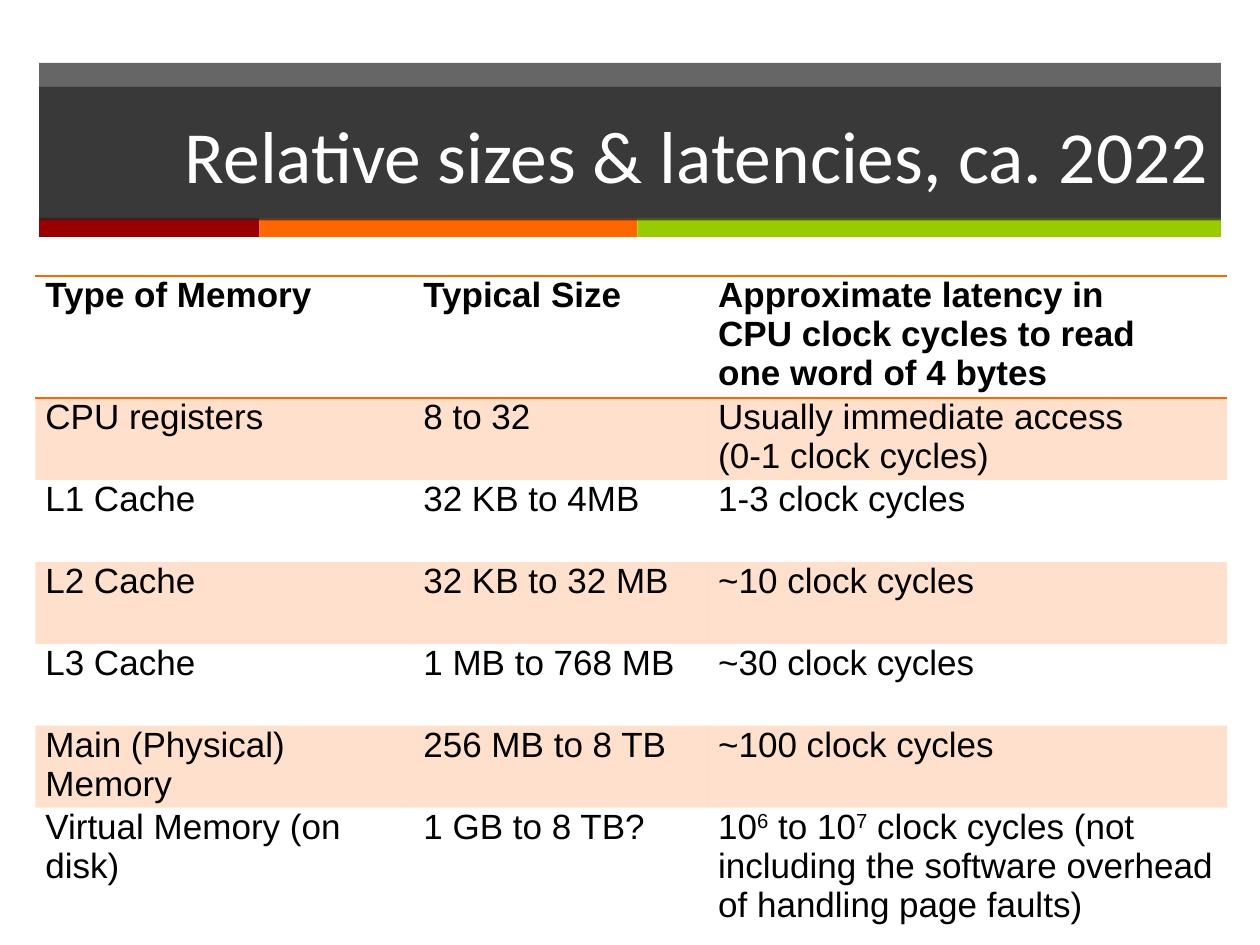
"""Build a slide with a table of memory types, their sizes and read latencies."""
import pptx
import pptx.dml.color
import pptx.enum.shapes
import pptx.enum.text
import pptx.oxml
import pptx.oxml.ns
import pptx.util

TITLE = "Relative sizes & latencies, ca. 2022"
ROWS = [
    ("Type of Memory", "Typical Size",
     "Approximate latency in\nCPU clock cycles to read\none word of 4 bytes"),
    ("CPU registers", "8 to 32", "Usually immediate access\n(0-1 clock cycles)"),
    ("L1 Cache", "32 KB to 4MB", "1-3 clock cycles"),
    ("L2 Cache", "32 KB to 32 MB", "~10 clock cycles"),
    ("L3 Cache", "1 MB to 768 MB", "~30 clock cycles"),
    ("Main (Physical) Memory", "256 MB to 8 TB", "~100 clock cycles"),
    ("Virtual Memory (on disk)", "1 GB to 8 TB?",
     "10^6^ to 10^7^ clock cycles (not including the software overhead "
     "of handling page faults)"),
]
THEME = {
    "band": "262626", "band_alpha": 70,
    "accent": "FF6600", "tint_alpha": 20, "rule_points": 1,
    "stripes": [("990000", 1.75), ("FF6600", 3), ("99CC00", 4.63)],
    "title": {"name": "Calibri", "size": pptx.util.Pt(42), "color": "FFFFFF"},
    "cell": {"name": "Arial", "size": pptx.util.Pt(20), "color": "000000"},
}
BAND_LEFT, BAND_WIDTH = 0.31, 9.38
STRIPE_TOP, STRIPE_HEIGHT = 1.73, 0.15
TABLE_LEFT, TABLE_TOP = 0.28, 2.19
COLUMN_WIDTHS = [3, 2.34, 4.12]
ROW_HEIGHTS = [0.97] + [0.65] * 5 + [1.52]
PLAIN_TABLE_STYLE = "{2D5ABB26-0587-4C30-8999-92F81FD0307C}"


def inches(*lengths):
    return [pptx.util.Inches(length) for length in lengths]


def paint(fill, color, alpha=100):
    fill.solid()
    fill.fore_color.rgb = pptx.dml.color.RGBColor.from_string(color)
    if alpha < 100:
        element = fill._xPr.find(".//" + pptx.oxml.ns.qn("a:srgbClr"))
        element.append(pptx.oxml.parse_xml(
            f'<a:alpha {pptx.oxml.ns.nsdecls("a")} val="{alpha * 1000}"/>'))


def format_font(font, style, **extra):
    for name, value in {**style, **extra}.items():
        if name == "color":
            font.color.rgb = pptx.dml.color.RGBColor.from_string(value)
        else:
            setattr(font, name, value)


def add_band(slide, left, top, width, height, color, alpha=100):
    shape = slide.shapes.add_shape(
        pptx.enum.shapes.MSO_SHAPE.RECTANGLE, *inches(left, top, width, height))
    shape.shadow.inherit = False
    shape.line.fill.background()
    paint(shape.fill, color, alpha)


def place_title(slide):
    title = slide.shapes.title
    slide.shapes._spTree.append(title._element)
    title.left, title.top, title.width, title.height = inches(
        BAND_LEFT, 0.69, BAND_WIDTH, 1.06)
    paint(title.fill, THEME["band"], THEME["band_alpha"])
    frame = title.text_frame
    frame.text = TITLE
    for name, value in {"auto_size": pptx.enum.text.MSO_AUTO_SIZE.NONE,
                        "vertical_anchor": pptx.enum.text.MSO_ANCHOR.MIDDLE,
                        "word_wrap": True}.items():
        setattr(frame, name, value)
    paragraph = frame.paragraphs[0]
    paragraph.alignment = pptx.enum.text.PP_ALIGN.RIGHT
    format_font(paragraph.runs[0].font, THEME["title"])


def add_rules(cell, edges):
    for position, edge in enumerate(edges):
        width = pptx.util.Pt(THEME["rule_points"])
        cell._tc.get_or_add_tcPr().insert(position, pptx.oxml.parse_xml(
            f'<a:ln{edge} {pptx.oxml.ns.nsdecls("a")} w="{width}"><a:solidFill>'
            f'<a:srgbClr val="{THEME["accent"]}"/></a:solidFill></a:ln{edge}>'))


def write_cell(cell, text, bold):
    for side, margin in {"left": 0.08, "right": 0.08, "top": 0, "bottom": 0}.items():
        setattr(cell, f"margin_{side}", pptx.util.Inches(margin))
    for index, line in enumerate(text.split("\n")):
        frame = cell.text_frame
        paragraph = frame.add_paragraph() if index else frame.paragraphs[0]
        for part, words in enumerate(line.split("^")):
            run = paragraph.add_run()
            run.text = words
            format_font(run.font, THEME["cell"], bold=bold)
            if part % 2:
                run.font._element.set("baseline", "30000")


def add_memory_table(slide):
    frame = slide.shapes.add_table(
        len(ROWS), len(COLUMN_WIDTHS),
        *inches(TABLE_LEFT, TABLE_TOP, sum(COLUMN_WIDTHS), sum(ROW_HEIGHTS)))
    table = frame.table
    table._tbl.tblPr.find(pptx.oxml.ns.qn("a:tableStyleId")).text = PLAIN_TABLE_STYLE
    for column, width in zip(table.columns, COLUMN_WIDTHS):
        column.width = pptx.util.Inches(width)
    edges = {0: "TB", len(ROWS) - 1: "B"}
    for row_index, texts in enumerate(ROWS):
        table.rows[row_index].height = pptx.util.Inches(ROW_HEIGHTS[row_index])
        for column_index, text in enumerate(texts):
            cell = table.cell(row_index, column_index)
            write_cell(cell, text, bold=row_index == 0)
            if row_index % 2:
                paint(cell.fill, THEME["accent"], THEME["tint_alpha"])
            else:
                cell.fill.background()
            add_rules(cell, edges.get(row_index, ""))


def main():
    presentation = pptx.Presentation()
    presentation.slide_width, presentation.slide_height = inches(10, 7.5)
    slide = presentation.slides.add_slide(presentation.slide_layouts[5])
    add_band(slide, BAND_LEFT, 0.5, BAND_WIDTH, 1.24, THEME["band"], THEME["band_alpha"])
    left = BAND_LEFT
    for color, width in THEME["stripes"]:
        add_band(slide, left, STRIPE_TOP, width, STRIPE_HEIGHT, color)
        left += width
    add_memory_table(slide)
    place_title(slide)
    presentation.save("out.pptx")


if __name__ == "__main__":
    main()
